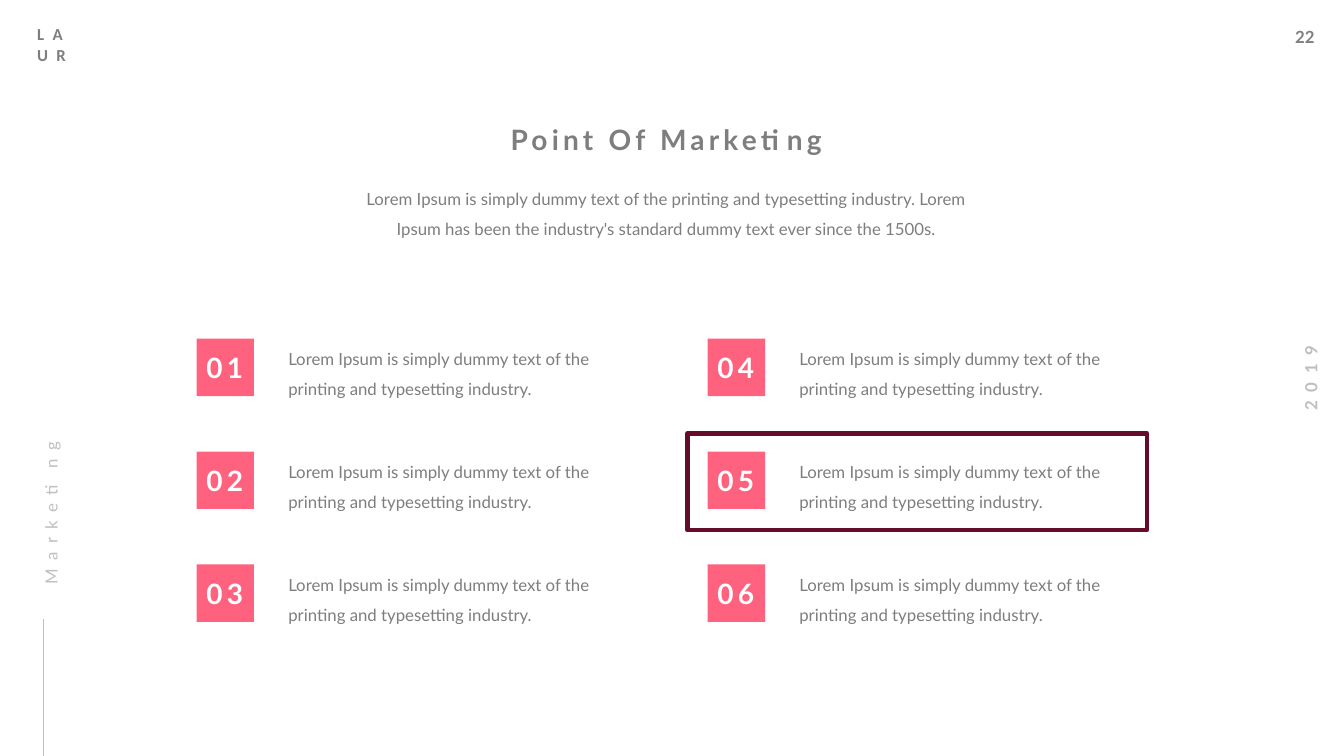
"""Build the "Point Of Marketing" slide with six numbered points."""
from dataclasses import dataclass

from lxml import etree
from pptx import Presentation
from pptx.dml.color import RGBColor
from pptx.enum.shapes import MSO_CONNECTOR, MSO_SHAPE
from pptx.enum.text import MSO_ANCHOR, MSO_AUTO_SIZE, PP_ALIGN
from pptx.oxml.ns import qn
from pptx.shapes.autoshape import Shape
from pptx.slide import Slide
from pptx.text.text import TextFrame
from pptx.util import Pt

LEFT, CENTER = PP_ALIGN.LEFT, PP_ALIGN.CENTER
MIDDLE = MSO_ANCHOR.MIDDLE
FIT_TEXT = MSO_AUTO_SIZE.SHAPE_TO_FIT_TEXT
RECT = MSO_SHAPE.RECTANGLE
STRAIGHT = MSO_CONNECTOR.STRAIGHT

COLORS = {
    "text": "7E7E7E",
    "faint": "BFBFBF",
    "badge": "FF627F",
    "frame": "650C29",
    "white": "FFFFFF",
}
FRAME_INSETS = (7.2, 3.6, 7.2, 3.6)
BODY_INSETS = (0, 0, 7.2, 0)

COLUMNS, ROWS = 2, 3
GRID_LEFT, GRID_TOP = 140.4, 241.92
COLUMN_STEP, ROW_STEP = 365.04, 80.64
BADGE_SIZE = 41.04
POINT_OFFSET, POINT_WIDTH = 65.52, 248.4
POINT_TEXT = "Lorem Ipsum is simply dummy text of the printing and typesetting industry."
INTRO = (
    "Lorem Ipsum is simply dummy text of the printing and typesetting industry. "
    "Lorem Ipsum has been the industry's standard dummy text ever since the 1500s."
)


@dataclass(frozen=True)
class Style:
    size: float = 12
    color: str = "text"
    bold: bool = False
    tracking: float = 0
    align: PP_ALIGN = LEFT
    line_spacing: float = 1
    font: str = "Lato"


@dataclass(frozen=True)
class Label:
    lines: tuple[str, ...]
    left: float
    top: float
    width: float
    height: float
    style: Style
    insets: tuple[float, float, float, float] = BODY_INSETS
    wrap: bool = True
    rotation: float = 0


BODY = Style(line_spacing=1.5)
NUMBER = Style(20, "white", True, 3)

LABELS = (
    Label(("22",), 918, 15.84, 29.52, 21.6, Style(bold=True), FRAME_INSETS, False),
    Label(("2019",), 902.88, 259.2, 66.96, 21.6,
          Style(color="faint", bold=True, tracking=6, align=CENTER),
          FRAME_INSETS, False, 270),
    Label(("LA", "UR"), 19.44, 13.68, 42.48, 36,
          Style(bold=True, tracking=6, font="Calibri"), FRAME_INSETS),
    Label((INTRO,), 247.68, 127.44, 463.68, 41.04,
          Style(align=CENTER, line_spacing=1.5)),
    Label(("Point Of Marketing",), 353.52, 87.84, 252, 24.48,
          Style(20, bold=True, tracking=3, align=CENTER)),
    Label(("Marketing",), -35.28, 341.28, 133.2, 18.72,
          Style(color="faint", tracking=6, line_spacing=1.5), rotation=270),
)


def rgb(name: str) -> RGBColor:
    return RGBColor.from_string(COLORS[name])


def write(tf: TextFrame, lines: tuple[str, ...], style: Style) -> None:
    for i, line in enumerate(lines):
        p = tf.paragraphs[0] if i == 0 else tf.add_paragraph()
        p.text = line
        p.alignment = style.align
        p.line_spacing = style.line_spacing
        p.font.name = style.font
        p.font.size = Pt(style.size)
        p.font.bold = style.bold
        p.font.color.rgb = rgb(style.color)
        if style.tracking:
            rpr = p._p.get_or_add_pPr().get_or_add_defRPr()
            rpr.set("spc", str(int(style.tracking * 100)))


def set_insets(tf: TextFrame, insets: tuple[float, float, float, float]) -> None:
    tf.margin_left, tf.margin_top, tf.margin_right, tf.margin_bottom = map(Pt, insets)


def add_label(s: Slide, label: Label) -> None:
    sp = s.shapes.add_textbox(
        Pt(label.left), Pt(label.top), Pt(label.width), Pt(label.height))
    sp.rotation = label.rotation
    tf = sp.text_frame
    tf.word_wrap = label.wrap
    tf.auto_size = FIT_TEXT
    set_insets(tf, label.insets)
    write(tf, label.lines, label.style)


def add_rect(s: Slide, left: float, top: float, width: float, height: float) -> Shape:
    sp = s.shapes.add_shape(RECT, Pt(left), Pt(top), Pt(width), Pt(height))
    sp.shadow.inherit = False
    return sp


def add_point(s: Slide, number: int, left: float, top: float) -> None:
    sp = add_rect(s, left, top, BADGE_SIZE, BADGE_SIZE)
    sp.fill.solid()
    sp.fill.fore_color.rgb = rgb("badge")
    sp.line.fill.background()
    tf = sp.text_frame
    tf.word_wrap = True
    tf.vertical_anchor = MIDDLE
    set_insets(tf, (7.2, 0, 0, 0))
    write(tf, (f"{number:02}",), NUMBER)
    add_label(s, Label((POINT_TEXT,), left + POINT_OFFSET, top,
                       POINT_WIDTH, BADGE_SIZE, BODY))


def add_side_line(s: Slide) -> None:
    line = s.shapes.add_connector(STRAIGHT, Pt(30.96), Pt(540), Pt(30.96), Pt(442.08))
    line.line.color.rgb = rgb("faint")
    line.line.width = Pt(0.5)
    etree.SubElement(line._element.spPr, qn("a:effectLst"))


def add_highlight(s: Slide) -> None:
    sp = add_rect(s, 491.04, 309.6, 328.32, 69.12)
    sp.fill.background()
    sp.line.color.rgb = rgb("frame")
    sp.line.width = Pt(3)


def main() -> None:
    prs = Presentation()
    prs.slide_width, prs.slide_height = Pt(960), Pt(540)
    s = prs.slides.add_slide(prs.slide_layouts[6])
    for label in LABELS:
        add_label(s, label)
    for i in range(COLUMNS * ROWS):
        column, row = divmod(i, ROWS)
        add_point(s, i + 1, GRID_LEFT + column * COLUMN_STEP, GRID_TOP + row * ROW_STEP)
    add_side_line(s)
    add_highlight(s)
    prs.save("out.pptx")


if __name__ == "__main__":
    main()
